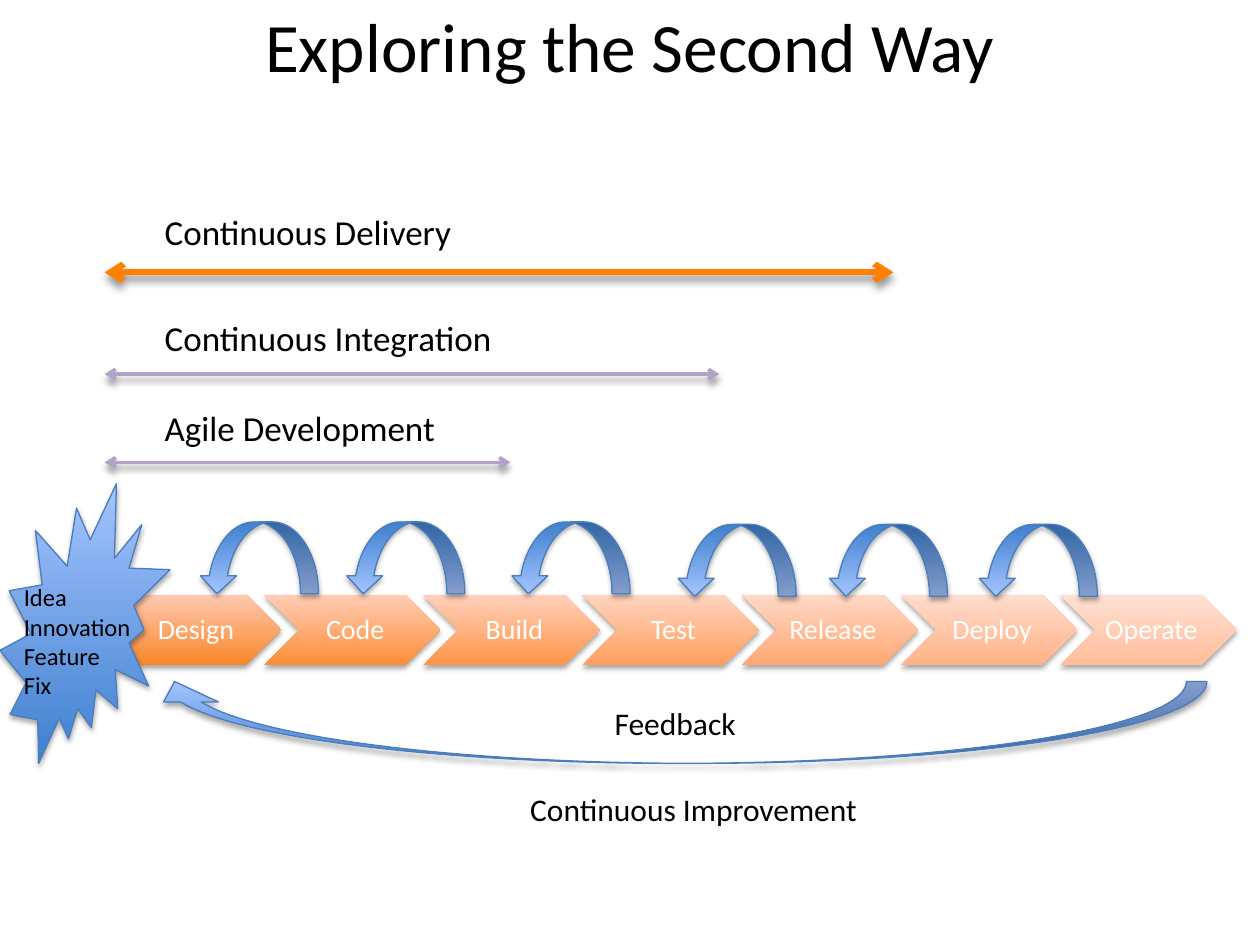
from lxml import etree
from pptx import Presentation
from pptx.dml.color import RGBColor
from pptx.enum.shapes import MSO_CONNECTOR, MSO_SHAPE
from pptx.enum.text import MSO_ANCHOR, MSO_AUTO_SIZE, PP_ALIGN
from pptx.oxml.ns import qn
from pptx.util import Cm, Pt

CHEVRON = MSO_SHAPE.CHEVRON
BURST = MSO_SHAPE.EXPLOSION2
CURVED_ARROW = MSO_SHAPE.CURVED_UP_ARROW
STRAIGHT = MSO_CONNECTOR.STRAIGHT
TOP, MIDDLE = MSO_ANCHOR.TOP, MSO_ANCHOR.MIDDLE
LEFT, CENTER = PP_ALIGN.LEFT, PP_ALIGN.CENTER
GROW, FIXED = MSO_AUTO_SIZE.SHAPE_TO_FIT_TEXT, MSO_AUTO_SIZE.NONE

COLORS = {
    "text": "000000", "stage_text": "FFFFFF", "shadow": "000000",
    "blue_dark": "3F80CE", "blue_light": "A4C4FF", "blue_line": "4B7EBC",
    "purple": "B3A2C7", "orange": "FF8000",
}
BLUE = (COLORS["blue_dark"], COLORS["blue_light"])

# Stage name, lower colour, upper colour
STAGES = [
    ("Design", "F88627", "FFC9B1"),
    ("Code", "FD8D37", "FFCDB6"),
    ("Build", "FF9549", "FFD0BB"),
    ("Test", "FF9E5D", "FFD4C0"),
    ("Release", "FFA772", "FFD8C6"),
    ("Deploy", "FFB286", "FFDCCD"),
    ("Operate", "FFBD9A", "FFE1D4"),
]
STAGE_LEFT, STAGE_TOP, STAGE_STEP = 2.11, 11.99, 3.21
STAGE_WIDTH, STAGE_HEIGHT = 3.56, 1.42

# Left and top of each arrow back to the previous stage
LOOPS = [(4.01, 10.52), (6.96, 10.52), (10.29, 10.52),
         (13.64, 10.57), (16.69, 10.57), (19.71, 10.57)]

# Practice, label top, label width, arrow height, arrow end, colour, weight
PRACTICES = [
    ("Agile Development", 8.08, 6.53, 9.32, 10.29, "purple", 2),
    ("Continuous Integration", 6.25, 7.67, 7.54, 14.5, "purple", 2),
    ("Continuous Delivery", 4.11, 6.88, 5.49, 18.01, "orange", 3.5),
]


class SlideBuilder:
    font = "Calibri"

    def __init__(self, slide):
        self.slide = slide

    def add_shadow(self, effects, alpha, blur, distance):
        shadow = etree.SubElement(
            effects, qn("a:outerShdw"), blurRad=str(Pt(blur)),
            dist=str(Pt(distance)), dir="5400000", rotWithShape="0")
        color = etree.SubElement(shadow, qn("a:srgbClr"), val=COLORS["shadow"])
        etree.SubElement(color, qn("a:alpha"), val=str(alpha * 1000))

    def shape(self, kind, left, top, width, height, gradient, line=None):
        shape = self.slide.shapes.add_shape(
            kind, Cm(left), Cm(top), Cm(width), Cm(height))
        shape.fill.gradient()
        shape.fill.gradient_angle = 90
        for stop, color in zip(shape.fill.gradient_stops, gradient):
            stop.color.rgb = RGBColor.from_string(color)
        if line:
            shape.line.color.rgb = RGBColor.from_string(COLORS[line])
            shape.line.width = Pt(0.75)
        else:
            shape.line.fill.background()
        shape.shadow.inherit = False
        effects = shape._element.spPr.find(qn("a:effectLst"))
        self.add_shadow(effects, 35, 3.1, 1.8)
        return shape

    def double_arrow(self, start, end, height, color, weight):
        arrow = self.slide.shapes.add_connector(
            STRAIGHT, Cm(start), Cm(height), Cm(end), Cm(height))
        arrow.line.color.rgb = RGBColor.from_string(COLORS[color])
        arrow.line.width = Pt(weight)
        line = arrow.line._get_or_add_ln()
        for tip in ("a:headEnd", "a:tailEnd"):
            etree.SubElement(line, qn(tip), type="arrow")
        effects = etree.SubElement(arrow._element.spPr, qn("a:effectLst"))
        self.add_shadow(effects, 40, 4, 3)

    def text(self, lines, left, top, width, height, size, color="text",
             align=LEFT, anchor=TOP, wrap=False, fit=GROW):
        box = self.slide.shapes.add_textbox(
            Cm(left), Cm(top), Cm(width), Cm(height))
        frame = box.text_frame
        frame.word_wrap = wrap
        frame.auto_size = fit
        frame.vertical_anchor = anchor
        for i, line in enumerate(lines):
            paragraph = frame.add_paragraph() if i else frame.paragraphs[0]
            paragraph.alignment = align
            run = paragraph.add_run()
            run.text = line
            run.font.name = self.font
            run.font.size = Pt(size)
            run.font.color.rgb = RGBColor.from_string(COLORS[color])
        return frame

    def stage(self, name, left, gradient):
        self.shape(CHEVRON, left, STAGE_TOP, STAGE_WIDTH, STAGE_HEIGHT, gradient)
        frame = self.text([name], left + 0.71, STAGE_TOP, 2.13, STAGE_HEIGHT, 16,
                          "stage_text", CENTER, MIDDLE, wrap=True, fit=FIXED)
        frame.margin_left = Cm(0.18)
        frame.margin_top = frame.margin_right = frame.margin_bottom = Cm(0.05)
        frame.paragraphs[0].line_spacing = 0.9
        frame.paragraphs[0].space_after = Pt(5.6)


def main():
    deck = Presentation()
    deck.slide_width, deck.slide_height = Cm(25.4), Cm(19.05)
    builder = SlideBuilder(deck.slides.add_slide(deck.slide_layouts[6]))

    # Title
    builder.text(["Exploring the Second Way"], 1.27, 0, 22.86, 1.8, 39.6,
                 align=CENTER, anchor=MIDDLE, wrap=True, fit=FIXED)

    # Delivery stages
    for i, (name, *gradient) in enumerate(STAGES):
        builder.stage(name, STAGE_LEFT + i * STAGE_STEP, gradient)

    # Starting burst
    builder.shape(BURST, 0, 9.75, 3.43, 5.64, BLUE, "blue_line")

    # Loops between neighbouring stages
    for left, top in LOOPS:
        loop = builder.shape(CURVED_ARROW, left, top, 2.41, 1.45, BLUE, "blue_line")
        loop.rotation = 180

    # Reach of each practice
    for name, top, width, height, end, color, weight in PRACTICES:
        builder.double_arrow(STAGE_LEFT, end, height, color, weight)
        builder.text([name], 3.07, top, width, 1.12, 20)

    # Feedback from the last stage to the first
    feedback = builder.shape(CURVED_ARROW, 2.97, 13.74, 21.36, 1.65, BLUE, "blue_line")
    feedback.adjustments[1] = 0.67
    feedback._element.spPr.xfrm.set("flipH", "1")
    builder.text(["Feedback"], 12.14, 14.07, 3, 1.02, 18)

    # Burst wording and closing label
    builder.text(["Idea", "Innovation", "Feature", "Fix"],
                 0.23, 11.61, 2.97, 2.64, 14, wrap=True)
    builder.text(["Continuous Improvement"], 10.44, 15.8, 7.21, 1.02, 18)

    deck.save("out.pptx")


if __name__ == "__main__":
    main()
